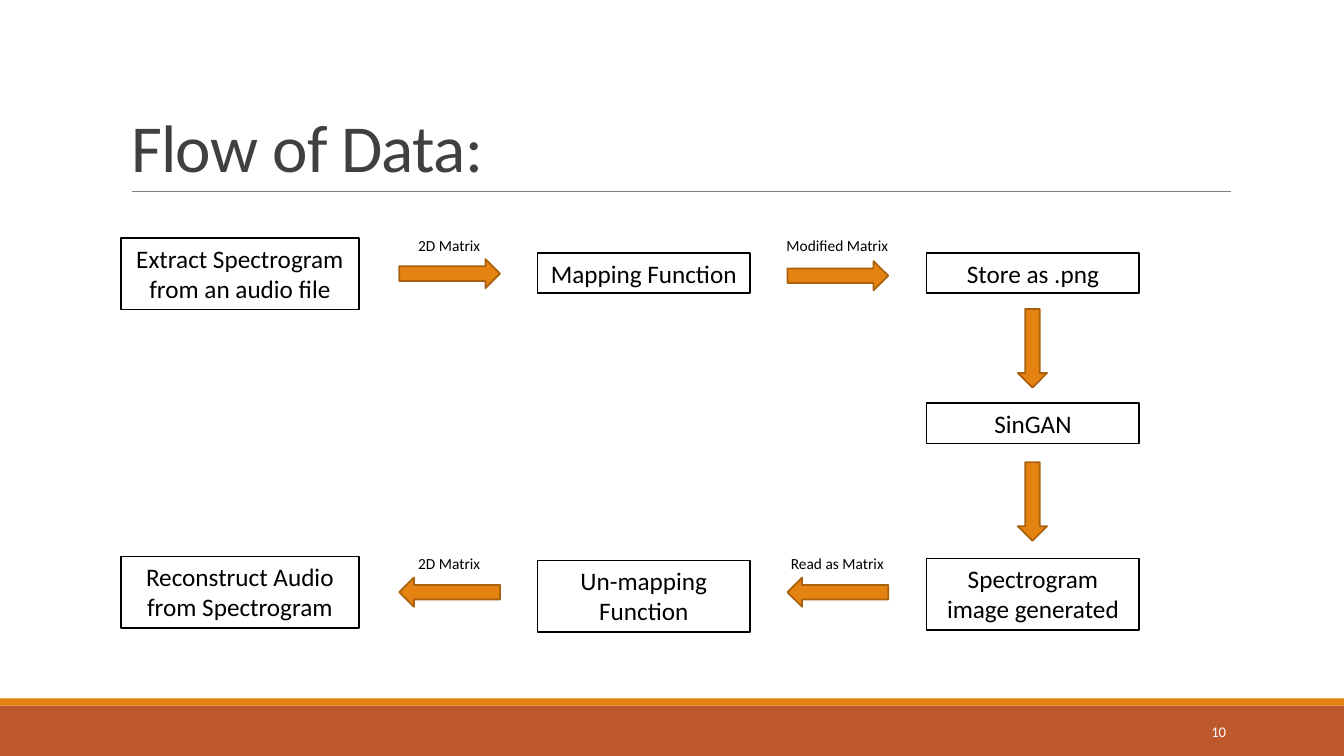
from dataclasses import dataclass

from lxml.etree import SubElement
from pptx import Presentation
from pptx.dml.color import RGBColor
from pptx.enum.shapes import MSO_CONNECTOR, MSO_SHAPE
from pptx.enum.text import MSO_ANCHOR, MSO_AUTO_SIZE, PP_ALIGN
from pptx.oxml.ns import qn
from pptx.util import Inches, Pt


@dataclass(frozen=True)
class Theme:
    font: str = "Calibri"
    black: RGBColor = RGBColor(0x00, 0x00, 0x00)
    white: RGBColor = RGBColor(0xFF, 0xFF, 0xFF)
    title: RGBColor = RGBColor(0x40, 0x40, 0x40)
    rule: RGBColor = RGBColor(0x80, 0x80, 0x80)
    orange: RGBColor = RGBColor(0xE4, 0x83, 0x12)
    arrow_edge: RGBColor = RGBColor(0xA9, 0x61, 0x0D)
    rust: RGBColor = RGBColor(0xBD, 0x58, 0x2C)
    title_size: float = 48
    box_size: float = 18
    label_size: float = 11
    number_size: float = 10.5
    edge: float = 1.25


theme = Theme()
presentation = Presentation()
presentation.slide_width = Inches(13.33)
presentation.slide_height = Inches(7.5)
slide = presentation.slides.add_slide(presentation.slide_layouts[5])


def add_block(kind, left, top, width, height, fill, edge=None):
    shape = slide.shapes.add_shape(
        kind, Inches(left), Inches(top), Inches(width), Inches(height))
    shape.shadow.inherit = False
    shape.fill.solid()
    shape.fill.fore_color.rgb = fill
    if edge is None:
        shape.line.fill.background()
    else:
        shape.line.color.rgb = edge
        shape.line.width = Pt(theme.edge)
    return shape


def write(shape, text, size, color, align, anchor=MSO_ANCHOR.TOP):
    frame = shape.text_frame
    frame.word_wrap = True
    frame.auto_size = MSO_AUTO_SIZE.NONE
    frame.vertical_anchor = anchor
    paragraph = frame.paragraphs[0]
    paragraph.alignment = align
    run = paragraph.add_run()
    run.text = text
    run.font.name = theme.font
    run.font.size = Pt(size)
    run.font.color.rgb = color
    return paragraph


# Footer bands
add_block(MSO_SHAPE.RECTANGLE, 0, 7, 13.33, 0.5, theme.rust)
add_block(MSO_SHAPE.RECTANGLE, 0, 6.93, 13.33, 0.07, theme.orange)

# Title and the rule below it
title = slide.shapes.title
title.left, title.top = Inches(1.2), Inches(0.31)
title.width, title.height = Inches(11), Inches(1.59)
title_paragraph = write(title, "Flow of Data:", theme.title_size, theme.title,
                        PP_ALIGN.LEFT, MSO_ANCHOR.BOTTOM)
title_paragraph.line_spacing = 0.85
title_paragraph.runs[0].font._element.set("spc", "-50")

rule = slide.shapes.add_connector(
    MSO_CONNECTOR.STRAIGHT, Inches(1.31), Inches(1.9), Inches(12.21), Inches(1.9))
rule.line.color.rgb = theme.rule
rule.line.width = Pt(0.5)
SubElement(rule._element.spPr, qn("a:effectLst"))

# Slide number
number = slide.shapes.add_textbox(Inches(10.83), Inches(7.06), Inches(1.43), Inches(0.4))
write(number, "10", theme.number_size, theme.white, PP_ALIGN.RIGHT, MSO_ANCHOR.MIDDLE)

# Process steps: column, top, height, text
columns = {"left": (1.2, 2.36), "middle": (5.33, 2.11), "right": (9.19, 2.11)}
one_line, two_lines = 0.4, 0.71
steps = [
    ("left", 2.36, two_lines, "Extract Spectrogram from an audio file"),
    ("middle", 2.51, one_line, "Mapping Function"),
    ("right", 2.51, one_line, "Store as .png"),
    ("right", 4, one_line, "SinGAN"),
    ("right", 5.54, two_lines, "Spectrogram image generated"),
    ("middle", 5.56, two_lines, "Un-mapping Function"),
    ("left", 5.52, two_lines, "Reconstruct Audio from Spectrogram"),
]
for column, top, height, text in steps:
    left, width = columns[column]
    step = add_block(MSO_SHAPE.RECTANGLE, left, top, width, height, theme.white, theme.black)
    write(step, text, theme.box_size, theme.black, PP_ALIGN.CENTER)

# Arrows between steps: left, top, length, rotation
arrows = [
    (3.96, 2.57, 1, 0),
    (7.81, 2.59, 1, 0),
    (9.85, 3.31, 0.78, 90),
    (9.85, 4.83, 0.78, 90),
    (7.81, 5.73, 1, 180),
    (3.96, 5.73, 1, 180),
]
for left, top, length, rotation in arrows:
    arrow = add_block(MSO_SHAPE.RIGHT_ARROW, left, top, length, 0.29,
                      theme.orange, theme.arrow_edge)
    arrow.rotation = rotation

# Labels above the horizontal arrows: left, top, width, text
labels = [
    (4.02, 2.29, 0.87, "2D Matrix"),
    (7.69, 2.29, 1.23, "Modified Matrix"),
    (7.69, 5.45, 1.23, "Read as Matrix"),
    (4.02, 5.45, 0.87, "2D Matrix"),
]
for left, top, width, text in labels:
    label = slide.shapes.add_textbox(Inches(left), Inches(top), Inches(width), Inches(0.29))
    write(label, text, theme.label_size, theme.black, PP_ALIGN.CENTER)

presentation.save("out.pptx")
